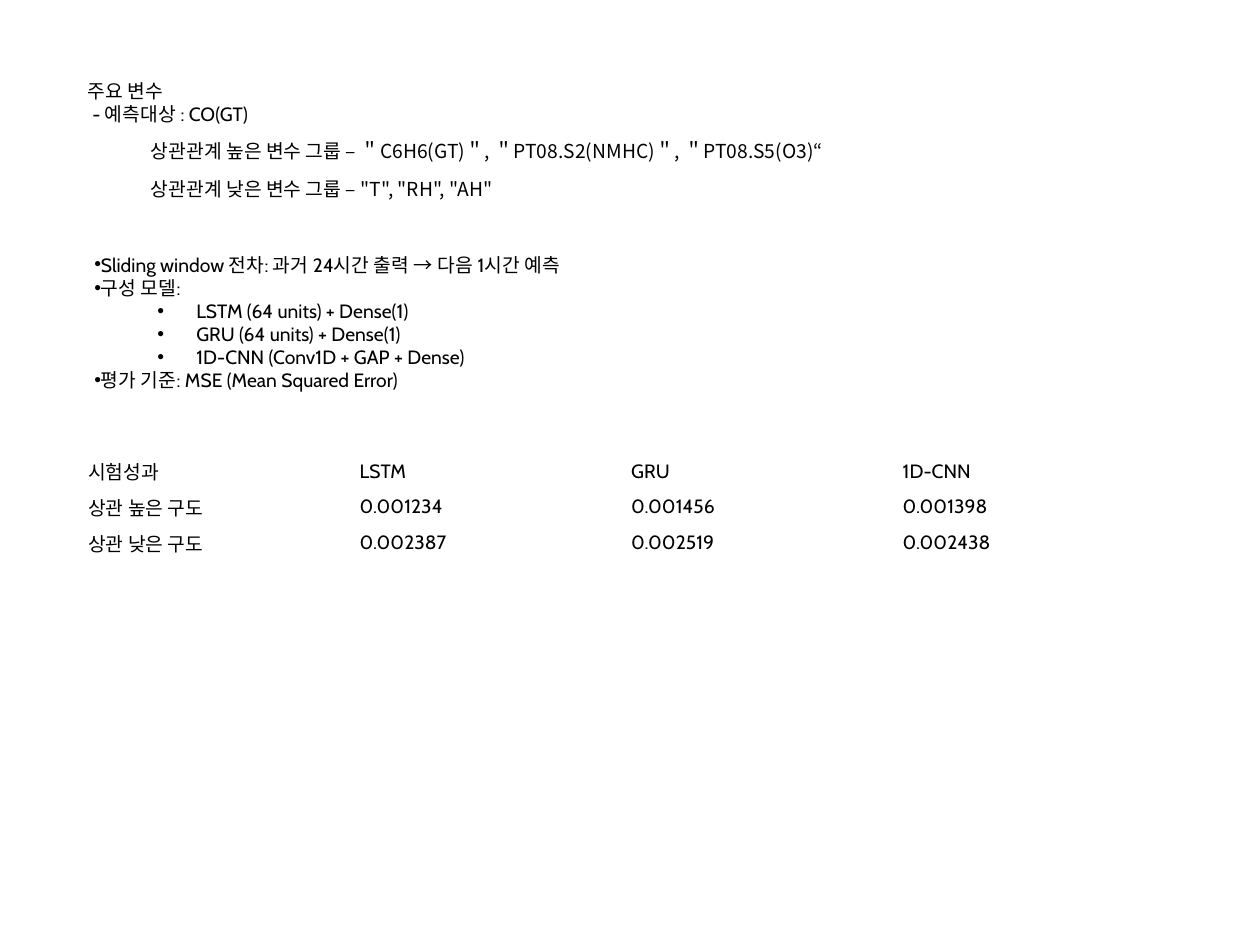
from dataclasses import dataclass

from lxml import etree
from pptx import Presentation
from pptx.dml.color import RGBColor
from pptx.enum.text import MSO_ANCHOR, MSO_AUTO_SIZE
from pptx.oxml.ns import qn
from pptx.util import Inches, Pt

MIDDLE = MSO_ANCHOR.MIDDLE
GROW = MSO_AUTO_SIZE.SHAPE_TO_FIT_TEXT
COLORS = {"text": "000000"}
BODY_FONT, KOREAN_FONT = "Cabin", "Noto Sans CJK KR"
W, H = Inches(10), Inches(7.5)


@dataclass
class Line:
    text: str
    level: int = 0
    font: str = BODY_FONT
    indent: float = 0
    hanging: float = 0
    bullet: str = ""
    spacing: float = 1
    before: float = 0


def group_line(text: str) -> Line:
    return Line(text, 1, KOREAN_FONT, indent=0.5, spacing=1.25, before=5)


def model_line(text: str) -> Line:
    return Line(text, 1, indent=0.81, hanging=-0.31, bullet="•")


VARIABLES = [
    Line("주요 변수"),
    Line(" - 예측대상 : CO(GT)"),
    group_line("상관관계 높은 변수 그룹 – ＂C6H6(GT)＂, ＂PT08.S2(NMHC)＂, ＂PT08.S5(O3)“"),
    group_line('상관관계 낮은 변수 그룹 – "T", "RH", "AH"'),
]
METHOD = [
    Line("Sliding window 전차: 과거 24시간 출력 → 다음 1시간 예측", bullet="•"),
    Line("구성 모델:", bullet="•"),
    model_line("LSTM (64 units) + Dense(1)"),
    model_line("GRU (64 units) + Dense(1)"),
    model_line("1D-CNN (Conv1D + GAP + Dense)"),
    Line("평가 기준: MSE (Mean Squared Error)", bullet="•"),
]
RESULTS = [
    ["시험성과", "LSTM", "GRU", "1D-CNN"],
    ["상관 높은 구도", "0.001234", "0.001456", "0.001398"],
    ["상관 낮은 구도", "0.002387", "0.002519", "0.002438"],
]


def style_run(r, font: str, asian_font: str) -> None:
    r.font.size = Pt(11)
    r.font.name = font
    r.font.color.rgb = RGBColor.from_string(COLORS["text"])
    etree.SubElement(r.font._element, qn("a:ea")).set("typeface", asian_font)


def write_line(p, line: Line) -> None:
    p.text = line.text
    p.level = line.level
    p.line_spacing = line.spacing
    p.space_before = Pt(line.before)
    pPr = p._p.get_or_add_pPr()
    pPr.set("marL", str(Inches(line.indent)))
    pPr.set("indent", str(Inches(line.hanging)))
    if line.bullet:
        etree.SubElement(pPr, qn("a:buFont")).set("typeface", "Arial")
        etree.SubElement(pPr, qn("a:buChar")).set("char", line.bullet)
    else:
        etree.SubElement(pPr, qn("a:buNone"))
    for r in p.runs:
        style_run(r, line.font, line.font)


def add_text(s, x: float, y: float, w: float, h: float, lines: list[Line]) -> None:
    """Position and size are shares of the slide."""
    tf = s.shapes.add_textbox(int(W * x), int(H * y), int(W * w), int(H * h)).text_frame
    tf.word_wrap = True
    tf.auto_size = GROW
    for i, line in enumerate(lines):
        write_line(tf.add_paragraph() if i else tf.paragraphs[0], line)


def add_results(s, x: float, y: float, w: float, h: float, rows: list[list[str]]) -> None:
    """Equal rows and columns, with no fill or banding."""
    table = s.shapes.add_table(len(rows), len(rows[0]), int(W * x), int(H * y),
                               int(W * w), int(H * h)).table
    table.first_row = table.horz_banding = False
    # Plain style without grid lines
    table._tbl.tblPr.find(qn("a:tableStyleId")).text = "{2D5ABB26-0587-4C30-8999-92F81FD0307C}"
    for i, row in enumerate(rows):
        for j, text in enumerate(row):
            cell = table.cell(i, j)
            cell.fill.background()
            cell.vertical_anchor = MIDDLE
            cell.margin_top = cell.margin_bottom = Inches(0.03)
            cell.text_frame.text = text
            style_run(cell.text_frame.paragraphs[0].runs[0], BODY_FONT, KOREAN_FONT)


prs = Presentation()
prs.slide_width, prs.slide_height = W, H
s = prs.slides.add_slide(prs.slide_layouts[6])

# Variables, method and test results from top to bottom
add_text(s, 0.06, 0.077, 0.62, 0.14, VARIABLES)
add_text(s, 0.065, 0.261, 0.87, 0.16, METHOD)
add_results(s, 0.06, 0.48, 0.862, 0.113, RESULTS)

prs.save("out.pptx")
